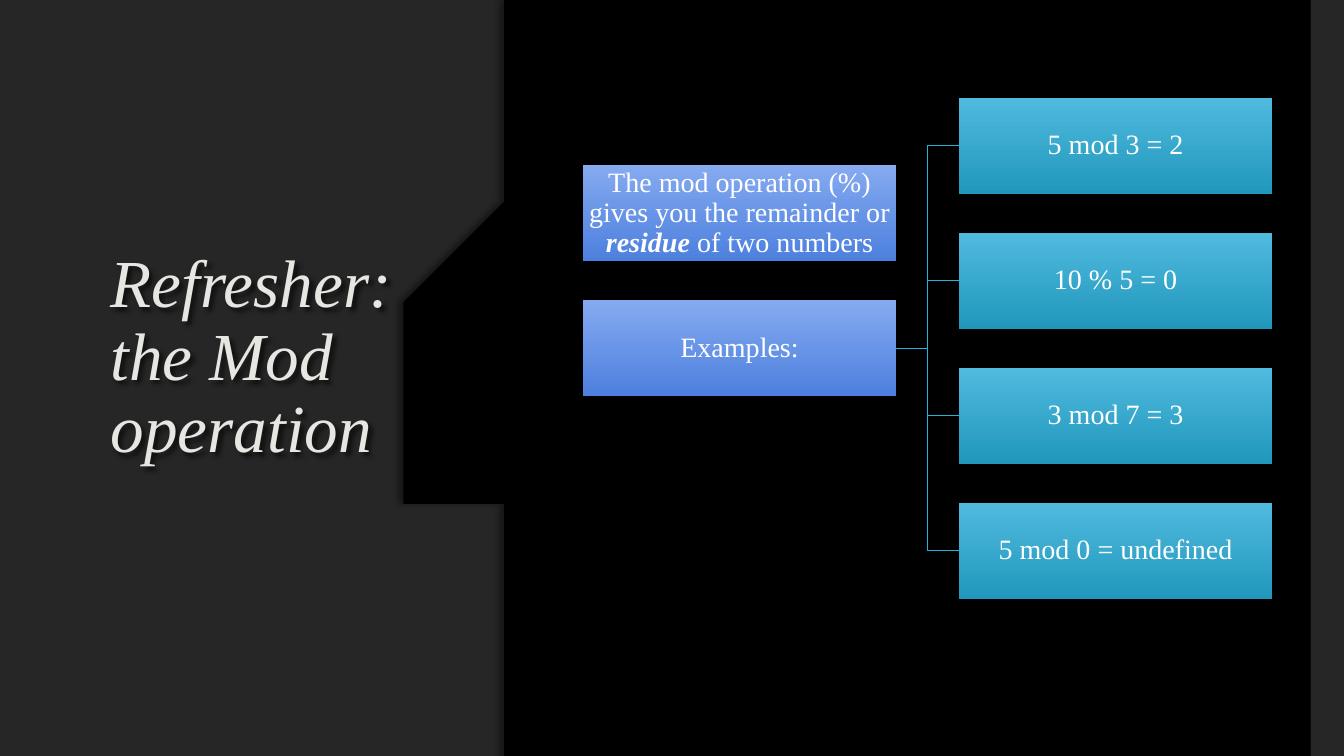
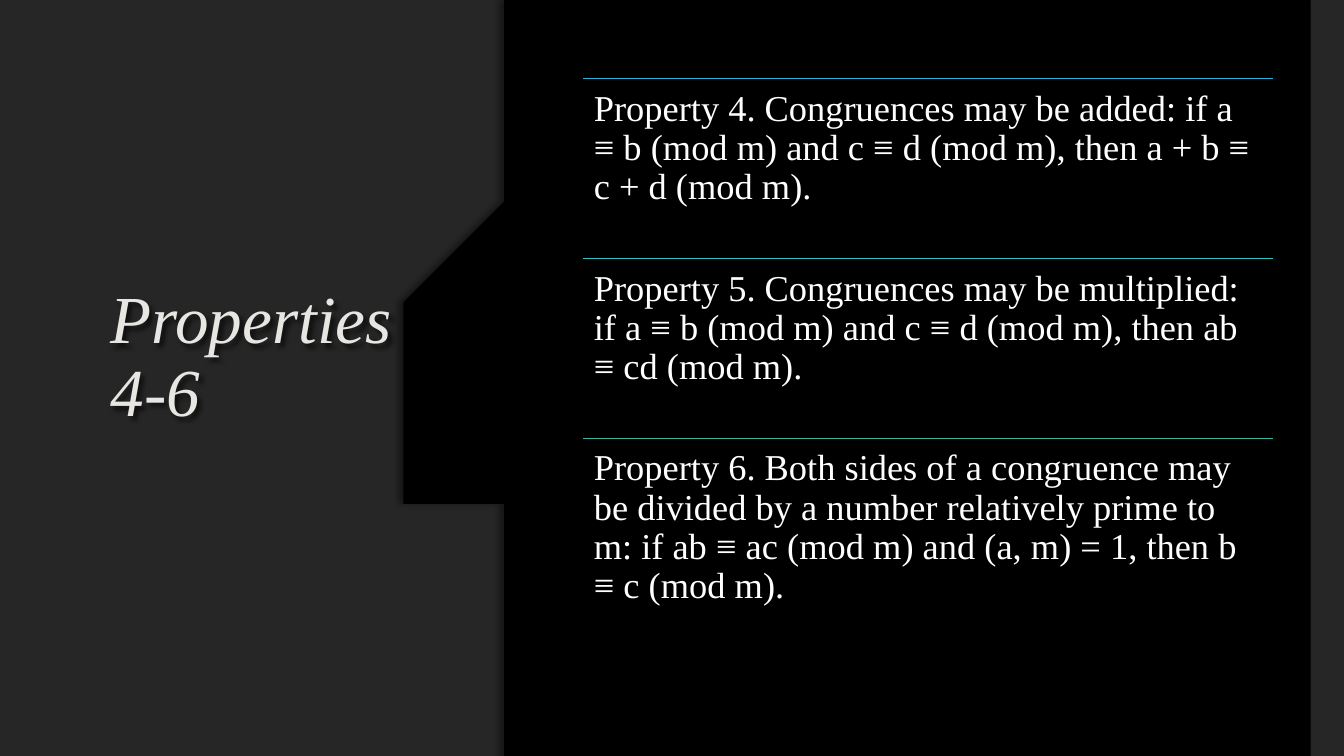
from dataclasses import dataclass
from typing import NamedTuple

from lxml.etree import SubElement
from pptx import Presentation
from pptx.dml.color import RGBColor
from pptx.enum.shapes import MSO_CONNECTOR as Conn, MSO_SHAPE as Preset
from pptx.enum.text import MSO_ANCHOR as Anchor, PP_ALIGN as Align
from pptx.oxml.ns import qn
from pptx.util import Inches, Pt

SLIDE_W, SLIDE_H = 13.33, 7.5


class Shadow(NamedTuple):
    opacity: int  # percent
    blur: float  # points
    distance: float  # points
    angle: int  # degrees, clockwise


@dataclass(frozen=True)
class Theme:
    font: str = "Times New Roman"
    title_size: int = 48
    property_size: int = 26
    box_size: int = 20
    line_width: float = 0.75
    line_spacing: float = 0.9
    backdrop: str = "000000"
    panel: str = "262626"
    title: str = "E8E6E2"
    text: str = "FFFFFF"
    branch: str = "25B1DB"
    parent_box: tuple[str, str] = ("85AAF0", "4D80DE")
    child_box: tuple[str, str] = ("50B9DE", "2098BC")
    title_shadow: Shadow = Shadow(60, 3, 3, 45)
    curve_shadow: Shadow = Shadow(40, 4, 3, 180)
    item_shadow: Shadow = Shadow(60, 5, 2, 90)


THEME = Theme()


class Area(NamedTuple):
    left: float
    top: float
    width: float
    height: float

    def emu(self) -> list[int]:
        return [Inches(length) for length in self]


@dataclass(frozen=True)
class Grid:
    left: float
    top: float
    width: float
    height: float
    column_gap: float = 0
    row_gap: float = 0

    def cell(self, column: float, row: float) -> Area:
        return Area(self.left + column * (self.width + self.column_gap),
                    self.top + row * (self.height + self.row_gap),
                    self.width, self.height)


class Words(NamedTuple):
    text: str
    emphasis: bool = False


class Box(NamedTuple):
    column: int
    row: float
    words: list[Words]
    colors: tuple[str, str]


class Property(NamedTuple):
    text: str
    rule_color: str


FULL_SLIDE = Area(0, 0, SLIDE_W, SLIDE_H)
TITLE_AREA = Area(1, 0.67, 3.06, 5.77)
BOX_GRID = Grid(5.78, 0.97, 3.11, 0.95, column_gap=0.62, row_gap=0.39)
PROPERTY_GRID = Grid(5.78, 0.78, 6.85, 1.785)

# Left edge of the dark area, from bottom to top
CURVE = [(4.85, 7.5), (4.77, 7.16), (4.71, 6.82), (4.65, 6.48), (4.6, 6.14),
         (4.56, 5.8), (4.53, 5.46), (4.5, 5.13), (4.49, 4.8), (4.47, 4.48),
         (4.47, 4), (4.47, 3.54), (4.48, 3.09), (4.5, 2.8), (4.53, 2.39),
         (4.57, 1.88), (4.62, 1.42), (4.67, 1.01), (4.73, 0.66), (4.78, 0.38),
         (4.81, 0.17), (4.85, 0)]

DEFINITION = Box(0, 0.5, [Words("The mod operation (%) gives you the remainder or "),
                          Words("residue", emphasis=True),
                          Words(" of two numbers")], THEME.parent_box)
EXAMPLES_HEAD = Box(0, 1.5, [Words("Examples:")], THEME.parent_box)
EXAMPLES = [Box(1, row, [Words(text)], THEME.child_box) for row, text in enumerate(
    ["5 mod 3 = 2", "10 % 5 = 0", "3 mod 7 = 3", "5 mod 0 = undefined"])]

PROPERTIES = [
    Property("Property 4. Congruences may be added: if a ≡ b (mod m) and "
             "c ≡ d (mod m), then a + b ≡ c + d (mod m).", "25B1DB"),
    Property("Property 5. Congruences may be multiplied: if a ≡ b (mod m) and "
             "c ≡ d (mod m), then ab ≡ cd (mod m).", "2EC4C8"),
    Property("Property 6. Both sides of a congruence may be divided by a number "
             "relatively prime to m: if ab ≡ ac (mod m) and (a, m) = 1, "
             "then b ≡ c (mod m).", "36B59E"),
]


def rgb(color: str) -> RGBColor:
    return RGBColor.from_string(color)


def set_effects(shape, shadow: Shadow | None = None) -> None:
    """Replace inherited effects; call once fill and line are set."""
    effects = SubElement(shape._element.spPr, qn("a:effectLst"))
    if shadow:
        outer = SubElement(effects, qn("a:outerShdw"), {
            "blurRad": str(Pt(shadow.blur)), "dist": str(Pt(shadow.distance)),
            "dir": str(shadow.angle * 60000), "algn": "ctr", "rotWithShape": "0"})
        color = SubElement(outer, qn("a:srgbClr"), val="000000")
        SubElement(color, qn("a:alpha"), val=str(shadow.opacity * 1000))


def fill_solid(shape, color: str) -> None:
    shape.fill.solid()
    shape.fill.fore_color.rgb = rgb(color)
    shape.line.fill.background()


def write(shape, words: list[Words], size: int, color: str = THEME.text,
          align: Align = Align.LEFT, anchor: Anchor = Anchor.TOP,
          inset: float | None = None, italic: bool | None = None) -> None:
    frame = shape.text_frame
    frame.word_wrap = True
    frame.vertical_anchor = anchor
    if inset is not None:
        frame.margin_left = frame.margin_right = Inches(inset)
        frame.margin_top = frame.margin_bottom = Inches(inset)
    paragraph = frame.paragraphs[0]
    paragraph.alignment = align
    paragraph.line_spacing = THEME.line_spacing
    font = paragraph.font
    font.name, font.size, font.italic = THEME.font, Pt(size), italic
    font.color.rgb = rgb(color)
    for part in words:
        run = paragraph.add_run()
        run.text = part.text
        if part.emphasis:
            run.font.bold = run.font.italic = True


def add_line(slide, kind: Conn, start: tuple[float, float], end: tuple[float, float],
             color: str, shadow: Shadow | None = None):
    line = slide.shapes.add_connector(kind, *map(Inches, (*start, *end)))
    line.line.color.rgb = rgb(color)
    line.line.width = Pt(THEME.line_width)
    set_effects(line, shadow)
    return line


def add_titled_slide(deck, title: str):
    """Add a blank slide with the grey panel, the curved dark area and a title."""
    slide = deck.slides.add_slide(deck.slide_layouts[6])
    slide.background.fill.solid()
    slide.background.fill.fore_color.rgb = rgb(THEME.backdrop)

    panel = slide.shapes.add_shape(Preset.RECTANGLE, *FULL_SLIDE.emu())
    fill_solid(panel, THEME.panel)
    set_effects(panel)

    outline = slide.shapes.build_freeform(SLIDE_W, 0, scale=Inches(1))
    outline.add_line_segments([(SLIDE_W, SLIDE_H), *CURVE], close=True)
    dark_area = outline.convert_to_shape()
    fill_solid(dark_area, THEME.backdrop)
    set_effects(dark_area, THEME.curve_shadow)

    heading = slide.shapes.add_textbox(*TITLE_AREA.emu())
    write(heading, [Words(title)], THEME.title_size, THEME.title,
          anchor=Anchor.MIDDLE, italic=True)
    set_effects(heading, THEME.title_shadow)
    return slide


def add_box(slide, box: Box):
    shape = slide.shapes.add_shape(
        Preset.RECTANGLE, *BOX_GRID.cell(box.column, box.row).emu())
    shape.fill.gradient()
    shape.fill.gradient_angle = 270
    for stop, color in zip(shape.fill.gradient_stops, box.colors):
        stop.color.rgb = rgb(color)
    shape.line.fill.background()
    set_effects(shape, THEME.item_shadow)
    write(shape, box.words, THEME.box_size, align=Align.CENTER,
          anchor=Anchor.MIDDLE, inset=0.01)
    return shape


def add_branch(slide, parent, child) -> None:
    branch = add_line(slide, Conn.ELBOW, (0, 0), (1, 1), THEME.branch)
    branch.begin_connect(parent, 3)
    branch.end_connect(child, 1)


def add_property(slide, row: int, item: Property) -> None:
    area = PROPERTY_GRID.cell(0, row)
    add_line(slide, Conn.STRAIGHT, (area.left, area.top),
             (area.left + area.width, area.top), item.rule_color, THEME.item_shadow)
    statement = slide.shapes.add_textbox(*area.emu())
    write(statement, [Words(item.text)], THEME.property_size, inset=0.11)


def main() -> None:
    deck = Presentation()
    deck.slide_width, deck.slide_height = Inches(SLIDE_W), Inches(SLIDE_H)

    refresher = add_titled_slide(deck, "Refresher: the Mod operation")
    add_box(refresher, DEFINITION)
    examples_head = add_box(refresher, EXAMPLES_HEAD)
    for example in EXAMPLES:
        add_branch(refresher, examples_head, add_box(refresher, example))

    properties = add_titled_slide(deck, "Properties 4-6")
    for row, item in enumerate(PROPERTIES):
        add_property(properties, row, item)

    deck.save("out.pptx")


if __name__ == "__main__":
    main()
